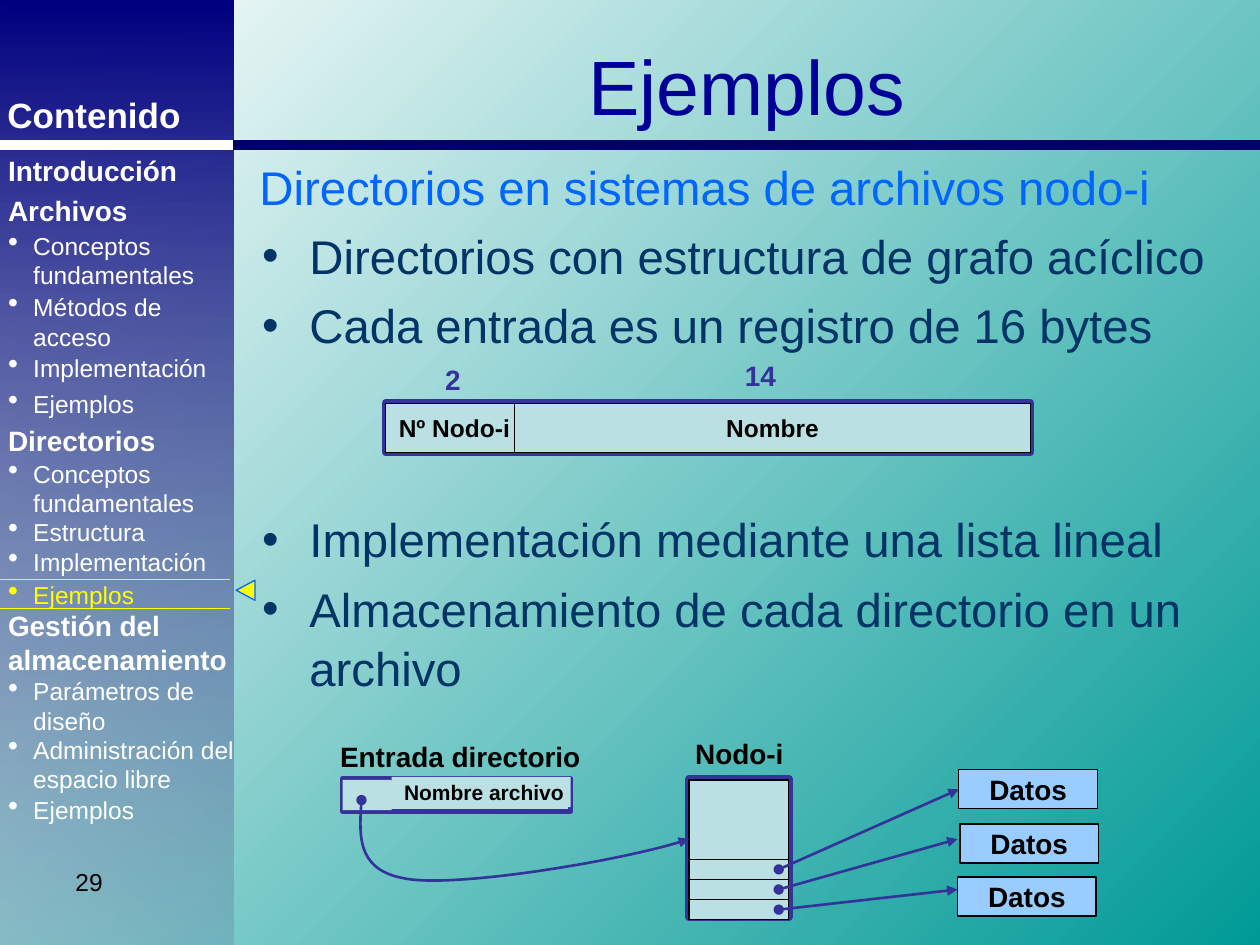
from lxml import etree
from pptx import Presentation
from pptx.dml.color import RGBColor
from pptx.enum.shapes import MSO_CONNECTOR as Connector, MSO_SHAPE as Shape
from pptx.enum.text import MSO_ANCHOR as Anchor, MSO_AUTO_SIZE as AutoSize, PP_ALIGN as Align
from pptx.oxml.ns import qn
from pptx.util import Pt

WHITE, BLACK, YELLOW = "FFFFFF", "000000", "FFFF00"
INDIGO, PALE, SKY = "333399", "BBE0E3", "99CCFF"

SIDEBAR_ITEMS = [  # text, top, is a chapter
    ("Introducción", 84.2, True),
    ("Archivos", 107.3, True),
    ("Conceptos fundamentales", 128.2, False),
    ("Métodos de acceso", 163.4, False),
    ("Implementación", 198, False),
    ("Ejemplos", 218.9, False),
    ("Directorios", 238.3, True),
    ("Conceptos fundamentales", 258.5, False),
    ("Estructura", 291.6, False),
    ("Implementación", 308.9, False),
    ("Ejemplos", 327.6, False),
    ("Gestión del almacenamiento", 344.2, True),
    ("Parámetros de diseño", 383, False),
    ("Administración del espacio libre", 416.2, False),
    ("Ejemplos", 450.7, False),
]
CURRENT_ITEM = 10


def rgb(value):
    return RGBColor.from_string(value)


def add_xml(parent, tag, **attributes):
    return etree.SubElement(parent, qn(tag), attributes)


def write(frame, *texts, size, color=BLACK, bold=False, align=Align.LEFT,
          anchor=Anchor.TOP, before=0, spacing=1.0):
    frame.word_wrap = True
    frame.auto_size = AutoSize.NONE
    frame.vertical_anchor = anchor
    for number, text in enumerate(texts):
        para = frame.add_paragraph() if number else frame.paragraphs[0]
        para.alignment = align
        para.space_before, para.line_spacing = Pt(before), spacing
        span = para.add_run()
        span.text = text
        font = span.font
        font.name, font.size, font.bold = "Arial", Pt(size), bold
        font.color.rgb = rgb(color)
    return frame


def add_label(page, box, text, **style):
    label = page.shapes.add_textbox(*map(Pt, box))
    return write(label.text_frame, text, **style)


def add_box(page, box, fill, line=None, weight=0.75, kind=Shape.RECTANGLE):
    shape = page.shapes.add_shape(kind, *map(Pt, box))
    shape.shadow.inherit = False
    if fill:
        shape.fill.solid()
        shape.fill.fore_color.rgb = rgb(fill)
    if line:
        shape.line.color.rgb = rgb(line)
        shape.line.width = Pt(weight)
    else:
        shape.line.fill.background()
    return shape


def add_cell(page, box, text, left=0, **style):
    """A bordered or plain box whose text has no inner margins but the left one."""
    line = style.pop("line", BLACK)
    shape = add_box(page, box, style.pop("fill", PALE), line)
    frame = shape.text_frame
    frame.margin_left = Pt(left)
    frame.margin_right = frame.margin_top = frame.margin_bottom = 0
    write(frame, text, bold=True, anchor=Anchor.MIDDLE, **style)
    return shape


def add_line(page, start, end, color, weight):
    line = page.shapes.add_connector(Connector.STRAIGHT, *map(Pt, (*start, *end)))
    line.line.color.rgb = rgb(color)
    line.line.width = Pt(weight)
    add_xml(line._element.spPr, "a:effectLst")
    return line


def add_arrowheads(shape):
    outline = shape.line._get_or_add_ln()
    add_xml(outline, "a:headEnd", type="oval")
    add_xml(outline, "a:tailEnd", type="triangle")


def set_gradient(fill, colors, angle):
    fill.gradient()
    fill.gradient_angle = angle
    for stop, color in zip(fill.gradient_stops, colors):
        stop.color.rgb = rgb(color)


def add_curve(page, start, *points):
    """Bézier curve: each three points are two controls and an end."""
    builder = page.shapes.build_freeform(*map(Pt, start))
    builder.add_line_segments([(Pt(x), Pt(y)) for x, y in points], close=False)
    curve = builder.convert_to_shape()
    outline = next(curve._element.iter(qn("a:path")))
    segments = outline.findall(qn("a:lnTo"))
    for first in range(0, len(segments), 3):
        bend = add_xml(outline, "a:cubicBezTo")
        for segment in segments[first:first + 3]:
            bend.append(segment[0])
            outline.remove(segment)
    curve.shadow.inherit = False
    curve.fill.background()
    curve.line.color.rgb = rgb(INDIGO)
    curve.line.width = Pt(1.5)
    add_arrowheads(curve)


def add_sidebar(page, box):
    left, top, width, height = box
    panel = add_box(page, box, None)
    set_gradient(panel.fill, ("000080", "545490"), 270)
    last_color = list(panel._element.spPr.iter(qn("a:srgbClr")))[-1]
    add_xml(last_color, "a:alpha", val="19000")
    rule = top + 82.8
    add_line(page, (left + width, rule), (720, rule), "000066", 6)
    add_line(page, (left, rule), (left + width, rule), WHITE, 6)
    add_label(page, (left - 2.9, top + 49.7, 118.8, 31), "Contenido",
              size=20, color=WHITE, bold=True)
    for number, (text, offset, chapter) in enumerate(SIDEBAR_ITEMS):
        frame = add_label(page, (left - 2.5, top + offset, 147.6, 26), text,
                          size=16 if chapter else 14, bold=chapter,
                          color=YELLOW if number == CURRENT_ITEM else WHITE)
        if not chapter:
            layout = frame.paragraphs[0]._p.get_or_add_pPr()
            layout.set("marL", str(Pt(14.4)))
            layout.set("indent", str(-Pt(14.4)))
            add_xml(layout, "a:buSzPct", val="120000")
            add_xml(layout, "a:buChar", char="•")
    for y in (331.2, 347.8):
        add_line(page, (left - 1.8, top + y), (left + width - 2, top + y), YELLOW, 0.75)
    marker = add_box(page, (left + width + 1.4, top + 331.9, 11.5, 10.8), YELLOW,
                     "0066FF", kind=Shape.ISOSCELES_TRIANGLE)
    marker.rotation = 270
    add_label(page, (left + 36, top + 491.8, 90, 37), "29", size=14)


def add_content(page, box):
    left, top, width, height = box
    title, upper, lower = page.placeholders
    lists = ("Directorios con estructura de grafo acíclico",
             "Cada entrada es un registro de 16 bytes"), (
             "Implementación mediante una lista lineal",
             "Almacenamiento de cada directorio en un archivo")
    title.left, title.top, title.width, title.height = map(Pt, (left, top + 3.6, width, 90))
    write(title.text_frame, "Ejemplos", size=44, color="000099",
          align=Align.CENTER, anchor=Anchor.MIDDLE)
    add_label(page, (left + 8, top + 85, width - 8, 43),
              "Directorios en sistemas de archivos nodo-i",
              size=27, color="0066FF", spacing=1.05)
    for body, texts, offset, tall in zip((upper, lower), lists, (124.6, 286.6), (94.3, 113.8)):
        body.left, body.top, body.width, body.height = map(
            Pt, (left + 9.4, top + offset, 559.4, tall))
        write(body.text_frame, *texts, size=27, color="003366", before=5.4, spacing=1.05)


def add_record(page, box):
    left, top, width, height = box
    split = width / 5
    add_box(page, box, PALE, INDIGO, 4.5)
    for text, x, wide in (("Nº Nodo-i", left, split), ("Nombre", left + split, width - split)):
        add_cell(page, (x, top, wide, height), text, size=14, align=Align.CENTER,
                 left=5 if x == left else 0)
    for text, x, y in (("2", 21.6, -26.6), ("14", 197.3, -28.8)):
        add_label(page, (left + x, top + y, 33.8, 26.6), text, size=16,
                  color=INDIGO, bold=True, align=Align.CENTER)


def add_directory_entry(page, box):
    left, top, width, height = box
    add_box(page, box, PALE, INDIGO, 3)
    add_box(page, (left, top + 0.7, 28, height - 1.4), PALE)
    add_cell(page, (left + 28, top - 1, width - 28, height - 1.4), "Nombre archivo",
             left=7.2, line=None, size=12)
    add_label(page, (left - 8.6, top - 26, 152.6, 26.6), "Entrada directorio",
              size=16, bold=True)


def add_inode(page, box):
    left, top, width, height = box
    add_box(page, box, PALE, INDIGO, 4.5)
    add_box(page, (left, top + 0.7, width, 45.4), PALE, BLACK)
    for row in range(3):
        add_box(page, (left, top + 46.1 + row * 11.5, width, 11.5), PALE, BLACK)
    add_label(page, (left - 3.6, top - 27.4, 72, 26.6), "Nodo-i", size=16, bold=True)


def add_data_blocks(page, box, pointer):
    """Data blocks, each with an arrow from its row; pointer is the first start."""
    left, top, width, height = box
    x, y = pointer
    for row, (shift, offset, tip) in enumerate(((0, 0, 11.2), (0.7, 31, 39.6), (-0.7, 61.2, 68.4))):
        block = add_cell(page, (left + shift, top + offset, width, height), "Datos",
                         fill=SKY, size=16, align=Align.CENTER)
        arrow = add_line(page, (x, y + row * 11.5), (left - 0.7, top + tip), INDIGO, 1.5)
        add_arrowheads(arrow)
        if row == 0:
            arrow.end_connect(block, 1)


def main():
    deck = Presentation()
    deck.slide_width, deck.slide_height = Pt(720), Pt(540)
    page = deck.slides.add_slide(deck.slide_layouts.get_by_name("Two Content"))
    set_gradient(page.background.fill, (WHITE, "009A96"), 315)
    add_sidebar(page, (0, 0, 133.2, 540))
    add_content(page, (133.2, 0, 586.8, 540))
    add_record(page, (220.3, 230.4, 368.6, 28.1))
    add_directory_entry(page, (195.8, 445, 130.3, 18.7))
    add_inode(page, (393.8, 445, 56.9, 79.2))
    add_curve(page, (206.6, 457.2), (205.2, 478.1), (204.5, 499), (235.4, 502.6),
              (266.4, 506.2), (360, 491), (393.8, 479.5))
    add_data_blocks(page, (547.9, 439.9, 79.2, 22.3), (445, 496.8))
    deck.save("out.pptx")


if __name__ == "__main__":
    main()
